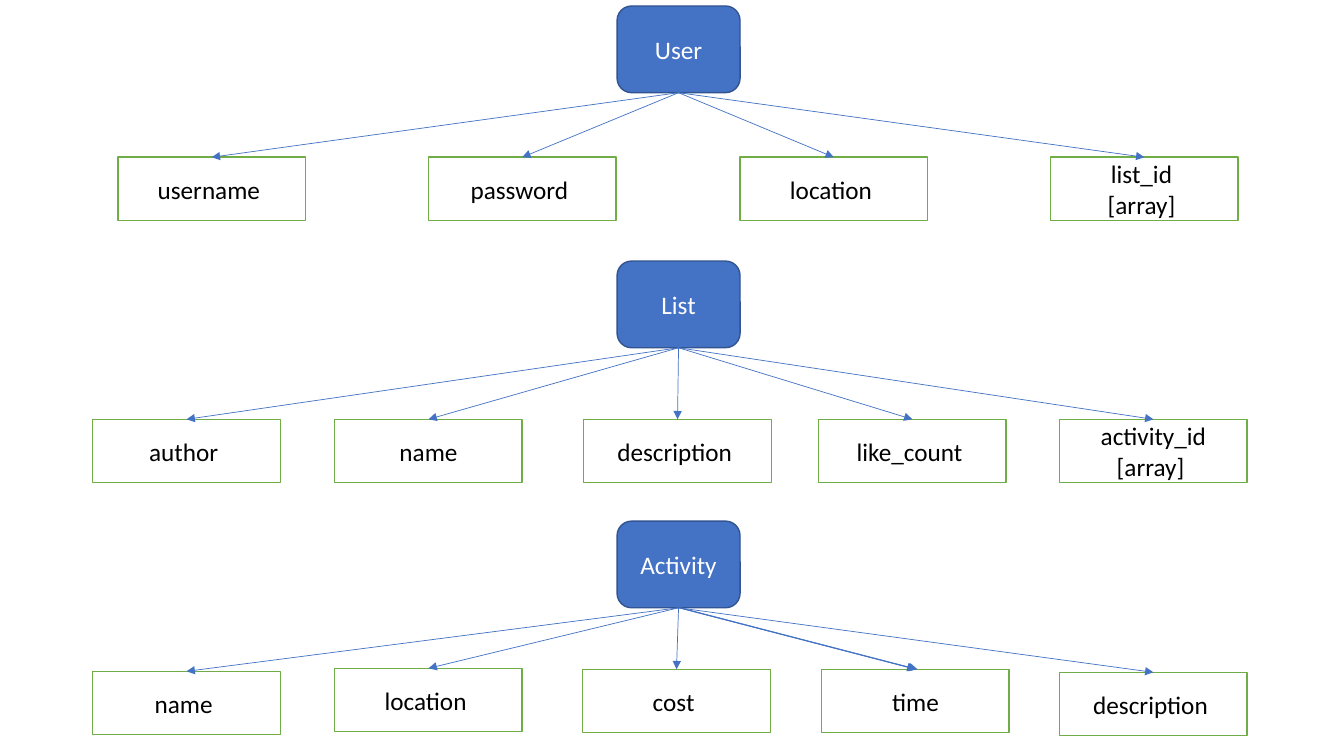
from lxml import etree
from pptx import Presentation
from pptx.dml.color import RGBColor
from pptx.enum.shapes import MSO_CONNECTOR, MSO_SHAPE
from pptx.enum.text import MSO_ANCHOR, PP_ALIGN
from pptx.oxml.ns import qn
from pptx.util import Inches, Pt

ROUNDED = MSO_SHAPE.ROUNDED_RECTANGLE
RECTANGLE = MSO_SHAPE.RECTANGLE
STRAIGHT = MSO_CONNECTOR.STRAIGHT
MIDDLE = MSO_ANCHOR.MIDDLE
CENTER = PP_ALIGN.CENTER
BOTTOM_SITE, TOP_SITE = 2, 0

ENTITY_LEFT = 6.12
ENTITIES = [
    ("User", 0.06, [
        ("username ", 1.17, 1.56),
        ("password ", 4.25, 1.56),
        ("location ", 7.34, 1.56),
        ("list_id \n[array] ", 10.42, 1.56),
    ]),
    ("List", 2.59, [
        ("author ", 0.92, 4.16),
        ("name", 3.32, 4.16),
        ("description ", 5.79, 4.16),
        ("like_count ", 8.12, 4.16),
        ("activity_id [array] ", 10.51, 4.16),
    ]),
    ("Activity", 5.17, [
        ("name ", 0.92, 6.66),
        ("location ", 3.32, 6.63),
        ("cost ", 5.78, 6.64),
        ("time", 8.15, 6.64),
        ("description ", 10.51, 6.67),
    ]),
]
EXTRA_ARROW_SHIFTS = {"time": (0.01, 0.02)}


def color(value):
    return RGBColor.from_string(value)


class SchemaDiagram:
    """Draws entities, their fields and the arrows between them on one slide."""

    font_format = {"name": "Calibri", "size": Pt(18)}
    entity_style = {"kind": ROUNDED, "size": (1.22, 0.86), "fill": "4472C4",
                    "line": "325491", "text_color": "FFFFFF"}
    field_style = {"kind": RECTANGLE, "size": (1.86, 0.63), "fill": "FFFFFF",
                   "line": "70AD47", "text_color": "000000"}
    arrow_color = "4472C4"

    def __init__(self, slide):
        self.slide = slide

    def box(self, text, left, top, style):
        width, height = style["size"]
        shape = self.slide.shapes.add_shape(
            style["kind"], Inches(left), Inches(top), Inches(width), Inches(height))
        shape.shadow.inherit = False
        shape.fill.solid()
        shape.fill.fore_color.rgb = color(style["fill"])
        shape.line.color.rgb = color(style["line"])
        shape.line.width = Pt(1)
        frame = shape.text_frame
        frame.word_wrap = True
        frame.vertical_anchor = MIDDLE
        frame.text = text
        for paragraph in frame.paragraphs:
            paragraph.alignment = CENTER
            for run in paragraph.runs:
                for name, value in self.font_format.items():
                    setattr(run.font, name, value)
                run.font.color.rgb = color(style["text_color"])
        return shape

    def entity(self, text, top):
        return self.box(text, ENTITY_LEFT, top, self.entity_style)

    def field(self, text, left, top):
        return self.box(text, left, top, self.field_style)

    def arrow(self, entity, field, shift=0):
        offset = Inches(shift)
        connector = self.slide.shapes.add_connector(
            STRAIGHT,
            entity.left + entity.width // 2 + offset, entity.top + entity.height,
            field.left + field.width // 2 + offset, field.top)
        if not shift:
            connector.begin_connect(entity, BOTTOM_SITE)
            connector.end_connect(field, TOP_SITE)
        connector.line.color.rgb = color(self.arrow_color)
        connector.line.width = Pt(0.5)
        line = connector.line._get_or_add_ln()
        etree.SubElement(line, qn("a:tailEnd"), type="triangle")
        etree.SubElement(connector._element.spPr, qn("a:effectLst"))


def main():
    presentation = Presentation()
    presentation.slide_width = Inches(13.33)
    presentation.slide_height = Inches(7.5)
    slide = presentation.slides.add_slide(presentation.slide_layouts[6])
    diagram = SchemaDiagram(slide)
    for title, top, fields in ENTITIES:
        entity = diagram.entity(title, top)
        for text, left, field_top in fields:
            field = diagram.field(text, left, field_top)
            for shift in (0, *EXTRA_ARROW_SHIFTS.get(text, ())):
                diagram.arrow(entity, field, shift)
    presentation.save("out.pptx")


if __name__ == "__main__":
    main()
